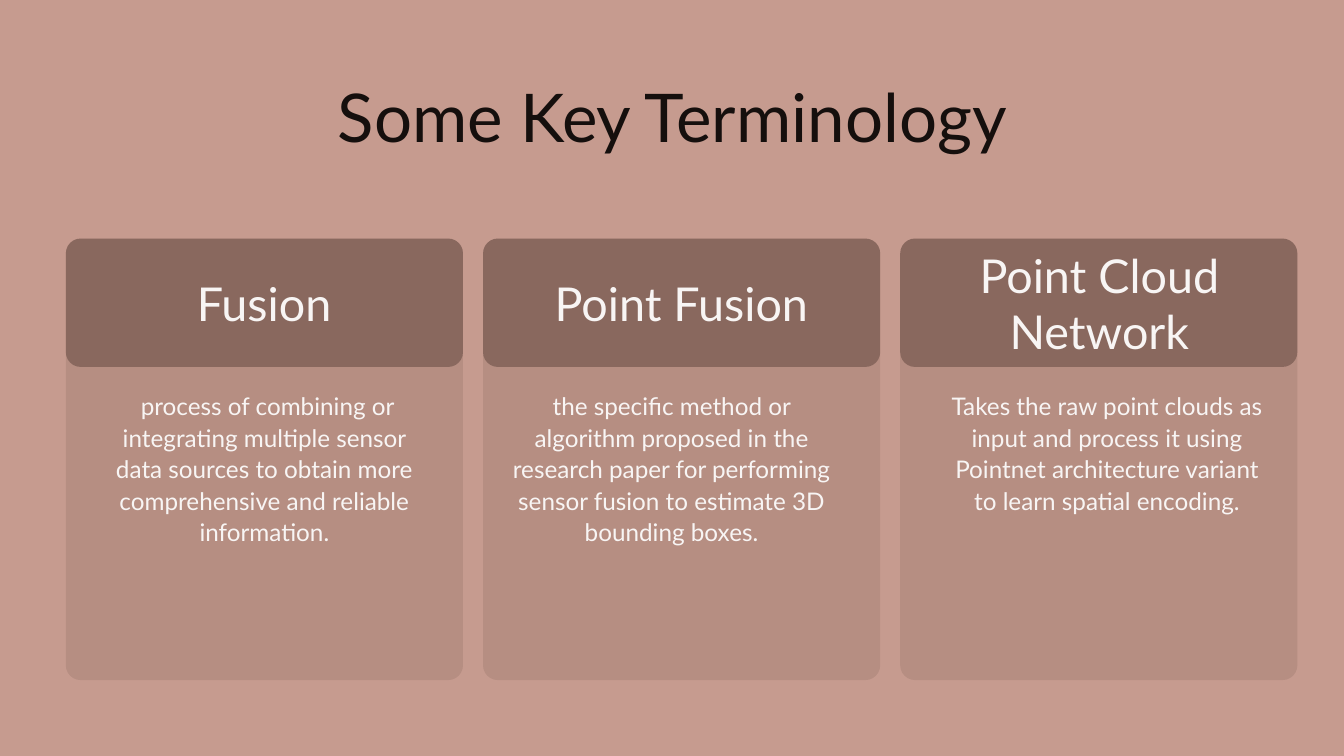
from pptx import Presentation
from pptx.dml.color import RGBColor
from pptx.enum import shapes, text
from pptx.oxml import ns
from pptx import util as u
from lxml import etree

ROSE = RGBColor(0xC6, 0x9B, 0x8F)
INK = RGBColor(0x15, 0x0F, 0x0D)
CREAM = RGBColor(0xF8, 0xF5, 0xF4)
PANEL = RGBColor(0x2F, 0x1C, 0x16)
BAND = RGBColor(0x46, 0x31, 0x2A)

CARD_LEFT, CARD_TOP = 4.9, 31.56
CARD_WIDTH, CARD_HEIGHT = 29.55, 58.4
CARD_PITCH = 31.04
BAND_HEIGHT = 16.98
BODY_TOP, BODY_WIDTH = 51.47, 23.95
HEADING_WIDTH, HEADING_LINE = 25.4, 7.41
BODY_LINE = 4.15

CARDS = [
    ("Fusion", 1, 6.95,
     " process of combining or integrating multiple sensor data sources "
     "to obtain more comprehensive and reliable information.", 6, 7.7),
    ("Point Fusion", 1, 38,
     "the specific method or algorithm proposed in the research paper for "
     "performing sensor fusion to estimate 3D bounding boxes.", 6, 38),
    ("Point Cloud Network", 2, 69.1,
     "Takes the raw point clouds as input and process it using Pointnet "
     "architecture variant to learn spatial encoding.", 5, 70.4),
]


def write(box, words, size, leading, color, font):
    frame = box.text_frame
    frame.word_wrap = True
    frame.auto_size = text.MSO_AUTO_SIZE.SHAPE_TO_FIT_TEXT
    frame.margin_left = frame.margin_right = 0
    frame.margin_top = frame.margin_bottom = 0
    para = frame.paragraphs[0]
    para.alignment = text.PP_ALIGN.CENTER
    para.line_spacing = u.Pt(leading)
    span = para.add_run()
    span.text = words
    span.font.name = font
    span.font.size = u.Pt(size)
    span.font.color.rgb = color


class Canvas:
    font = "Lato"
    radius = u.Inches(0.22)

    def __init__(self, deck):
        self.deck = deck
        self.page = deck.slides.add_slide(deck.slide_layouts[6])
        fill = self.page.background.fill
        fill.solid()
        fill.fore_color.rgb = ROSE

    def area(self, left, top, width, height):
        across, down = self.deck.slide_width, self.deck.slide_height
        return (int(across * left / 100), int(down * top / 100),
                int(across * width / 100), int(down * height / 100))

    def label(self, words, *area, size, leading, color=CREAM):
        box = self.page.shapes.add_textbox(*self.area(*area))
        write(box, words, size=size, leading=leading, color=color, font=self.font)

    def panel(self, *area, color, opacity):
        box = self.page.shapes.add_shape(
            shapes.MSO_SHAPE.ROUNDED_RECTANGLE, *self.area(*area))
        box.adjustments[0] = self.radius / min(box.width, box.height)
        box.shadow.inherit = False
        box.line.fill.background()
        box.fill.solid()
        box.fill.fore_color.rgb = color
        tint = box.fill._xPr.find(".//" + ns.qn("a:srgbClr"))
        etree.SubElement(tint, ns.qn("a:alpha"), val=str(opacity * 1000))


def main():
    deck = Presentation()
    deck.slide_width, deck.slide_height = u.Inches(20), u.Inches(11.25)
    canvas = Canvas(deck)
    canvas.label("Some Key Terminology", 6.9, 9.96, 86.25, 10.67,
                 size=72, leading=86.4, color=INK)

    for index, card in enumerate(CARDS):
        heading, heading_lines, heading_left, body, body_lines, body_left = card
        left = CARD_LEFT + index * CARD_PITCH
        canvas.panel(left, CARD_TOP, CARD_WIDTH, CARD_HEIGHT,
                     color=PANEL, opacity=10)
        canvas.label(body, body_left, BODY_TOP, BODY_WIDTH,
                     body_lines * BODY_LINE, size=26, leading=33.8)
        canvas.panel(left, CARD_TOP, CARD_WIDTH, BAND_HEIGHT,
                     color=BAND, opacity=40)
        height = heading_lines * HEADING_LINE
        canvas.label(heading, heading_left, CARD_TOP + (BAND_HEIGHT - height) / 2,
                     HEADING_WIDTH, height, size=50, leading=60)

    deck.save("out.pptx")


if __name__ == "__main__":
    main()
